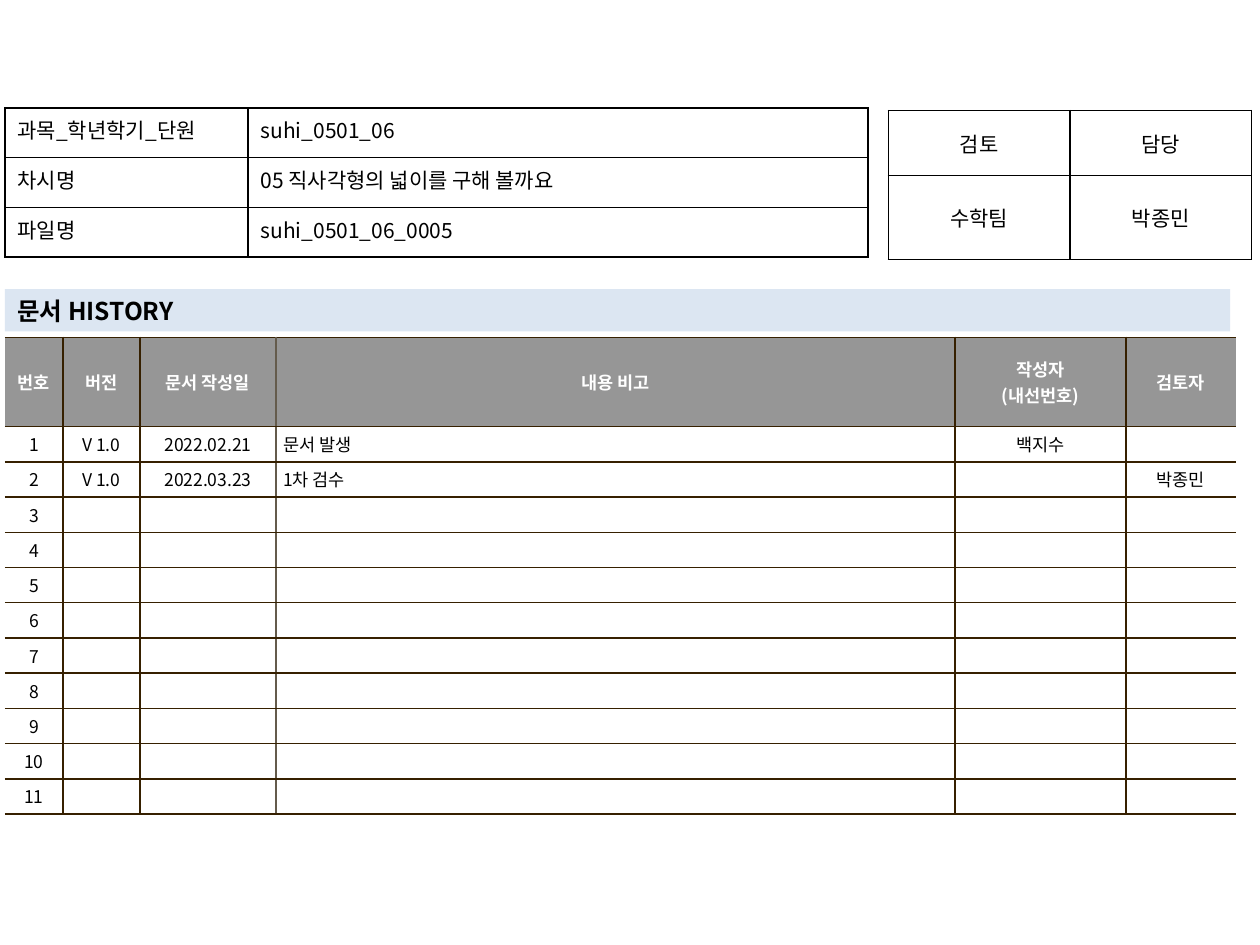
from lxml.etree import SubElement
from pptx import Presentation
from pptx.dml.color import RGBColor
from pptx.enum.shapes import MSO_SHAPE as Shape
from pptx.enum.text import MSO_ANCHOR as Anchor, PP_ALIGN as Align
from pptx.oxml.ns import qn
from pptx.util import Cm, Pt

BLACK, WHITE = "000000", "FFFFFF"
BROWN, TAUPE, GRAY, PALE_BLUE = "362000", "645B4C", "969696", "DCE6F2"


def color(value):
    return RGBColor.from_string(value)


class Sheet:
    font = "Noto Sans CJK KR"

    def __init__(self, slide):
        self.slide = slide

    def set_text(self, frame, text, size, fill=BLACK, bold=False, align=Align.LEFT):
        frame.text = text
        for paragraph in frame.paragraphs:
            paragraph.alignment = align
            font = paragraph.font
            font.name, font.size, font.bold = self.font, Pt(size), bold
            font.color.rgb = color(fill)
            latin = font._element.find(qn("a:latin"))
            latin.addnext(latin.makeelement(qn("a:ea"), {"typeface": self.font}))
            if not paragraph.text:
                SubElement(paragraph._p, qn("a:endParaRPr"), sz=str(size * 100))

    def banner(self, text, left, top, width, height):
        shape = self.slide.shapes.add_shape(
            Shape.RECTANGLE, Cm(left), Cm(top), Cm(width), Cm(height))
        shape.shadow.inherit = False
        shape.fill.solid()
        shape.fill.fore_color.rgb = color(PALE_BLUE)
        shape.line.fill.background()
        frame = shape.text_frame
        frame.margin_top = frame.margin_bottom = 0
        frame.vertical_anchor = Anchor.MIDDLE
        self.set_text(frame, text, 14, bold=True)

    def table(self, rows, left, top, widths, heights):
        table = self.slide.shapes.add_table(
            len(rows), len(widths), Cm(left), Cm(top),
            Cm(sum(widths)), Cm(sum(heights))).table
        table.first_row = table.horz_banding = False
        for column, width in zip(table.columns, widths):
            column.width = Cm(width)
        for row, height in zip(table.rows, heights):
            row.height = Cm(height)
        return table

    def borders(self, cell, **sides):
        properties = cell._tc.get_or_add_tcPr()
        for index, side in enumerate("LRTB"):
            value = sides.get(side)
            line = properties.makeelement(qn(f"a:ln{side}"), {"w": str(Pt(1))})
            if value:
                fill = SubElement(line, qn("a:solidFill"))
                SubElement(fill, qn("a:srgbClr"), val=value)
            else:
                SubElement(line, qn("a:noFill"))
            properties.insert(index, line)

    def form(self, rows, left, top, widths, heights, aligns, anchor):
        table = self.table(rows, left, top, widths, heights)
        for row, texts in enumerate(rows):
            for column, text in enumerate(texts):
                cell = table.cell(row, column)
                cell.vertical_anchor = anchor
                cell.fill.background()
                self.set_text(cell.text_frame, text, 12, align=aligns[column])
                self.borders(cell, **dict.fromkeys("LRTB", BLACK))

    def history(self, rows, left, top, widths, heights):
        table = self.table(rows, left, top, widths, heights)
        edges = [None, BROWN, BROWN, TAUPE, BROWN, BROWN, None]
        for row, texts in enumerate(rows):
            header = row == 0
            for column, text in enumerate(texts):
                cell = table.cell(row, column)
                cell.vertical_anchor = Anchor.MIDDLE
                cell.margin_left = cell.margin_right = Cm(0.15)
                cell.margin_top = cell.margin_bottom = Cm(0.1)
                cell.fill.solid()
                cell.fill.fore_color.rgb = color(GRAY if header else WHITE)
                note = column == 3 and not header
                self.set_text(cell.text_frame, text, 10, WHITE if header else BLACK,
                              header, Align.LEFT if note else Align.CENTER)
                self.borders(cell, L=edges[column], R=edges[column + 1],
                             T=BROWN, B=BROWN)


presentation = Presentation()
presentation.slide_width, presentation.slide_height = Cm(25.4), Cm(19.05)
sheet = Sheet(presentation.slides.add_slide(presentation.slide_layouts[6]))

entries = [
    ["V 1.0", "2022.02.21", "문서 발생", "백지수", ""],
    ["V 1.0", "2022.03.23", "1차 검수", "", "박종민"],
]
entries += [[""] * 5] * 9
history_rows = [["번호", "버전", "문서 작성일", "내용 비고", "작성자\n(내선번호)", "검토자"]]
history_rows += [[str(number), *entry] for number, entry in enumerate(entries, 1)]
sheet.history(history_rows, 0.1, 6.8, [1.17, 1.55, 2.74, 13.69, 3.45, 2.21],
              [1.8] + [0.71] * len(entries))

sheet.form([["검토", "담당"], ["수학팀", "박종민"]], 17.91, 2.23,
           [3.66] * 2, [1.31, 1.69], [Align.CENTER] * 2, Anchor.MIDDLE)

sheet.banner("문서 HISTORY", 0.1, 5.83, 24.7, 0.85)

sheet.form([["과목_학년학기_단원", "suhi_0501_06"],
            ["차시명", "05 직사각형의 넓이를 구해 볼까요"],
            ["파일명", "suhi_0501_06_0005"]],
           0.1, 2.18, [4.9, 12.5], [1] * 3, [Align.JUSTIFY, Align.LEFT], Anchor.TOP)

presentation.save("out.pptx")
